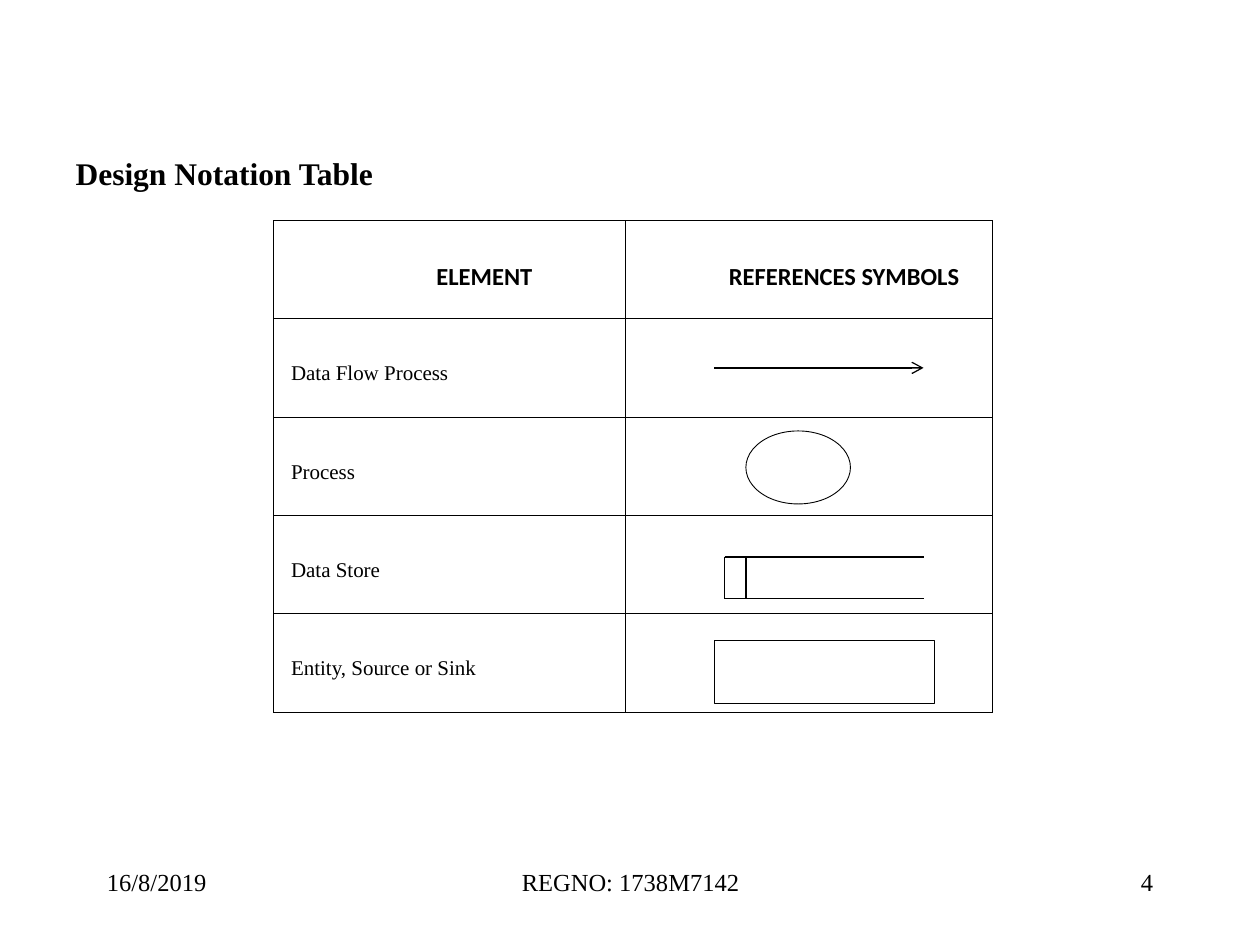
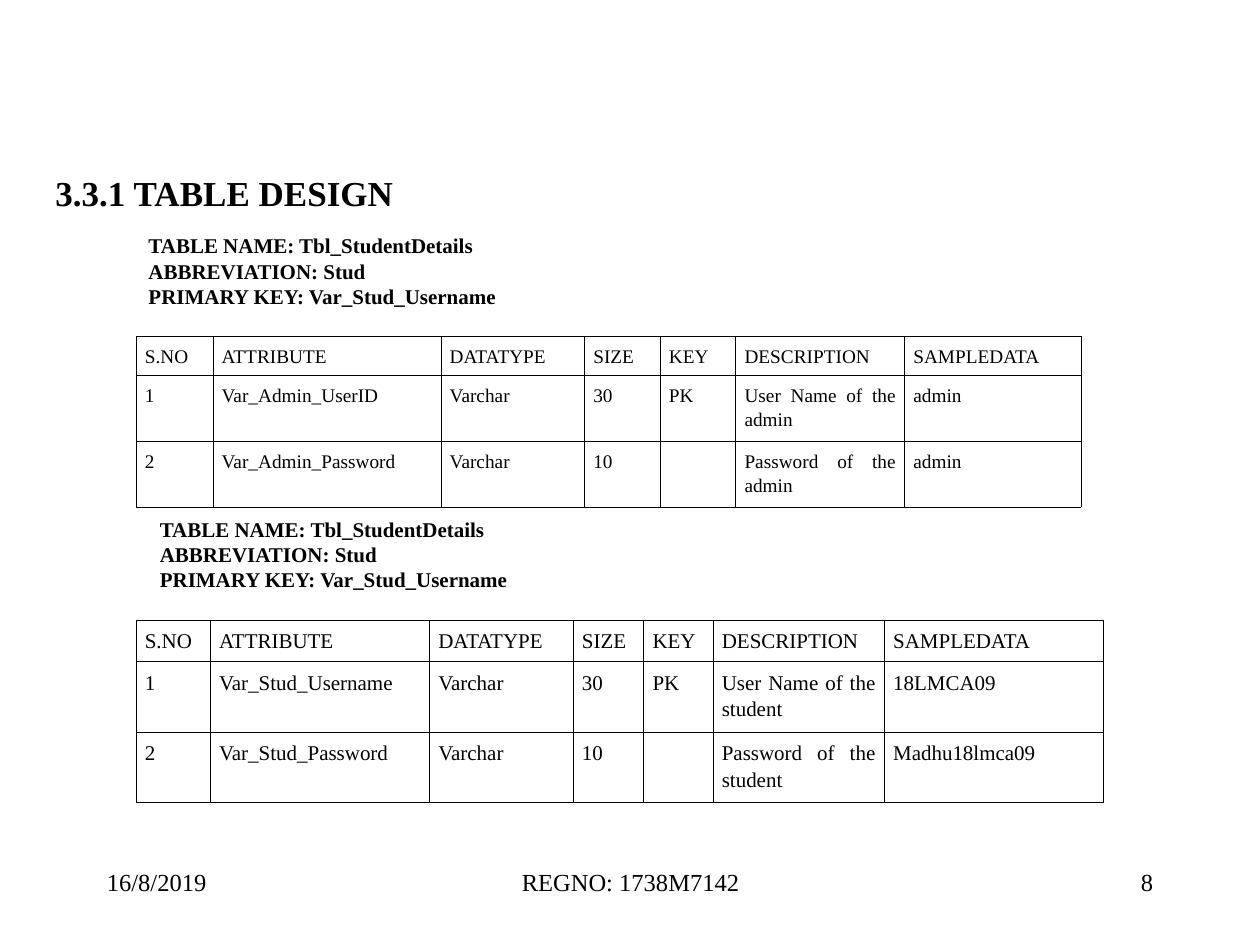
from dataclasses import dataclass
from itertools import product
from lxml.etree import SubElement
from pptx import Presentation
from pptx.dml.color import RGBColor
from pptx.enum.shapes import MSO_CONNECTOR, MSO_SHAPE
from pptx.enum.text import MSO_ANCHOR, MSO_AUTO_SIZE, PP_ALIGN
from pptx.oxml import parse_xml
from pptx.oxml.ns import nsdecls, qn
from pptx.util import Inches, Pt


@dataclass(frozen=True)
class Theme:
    ink: str = "000000"
    serif: str = "Times New Roman"
    sans: str = "Calibri"
    foot: int = 14
    head: int = 14
    body: int = 12
    small: int = 11
    rule: float = 0.45
    thin: float = 0.5
    line: float = 0.75


THEME = Theme()
INK = RGBColor.from_string(THEME.ink)

NOTES = ["TABLE NAME: Tbl_StudentDetails", "ABBREVIATION: Stud",
         "PRIMARY KEY: Var_Stud_Username"]
HEADS = ["S.NO", "ATTRIBUTE", "DATATYPE", "SIZE", "KEY", "DESCRIPTION",
         "SAMPLEDATA"]
PARTS = ["Data Flow Process", "Process", "Data Store",
         "Entity, Source or Sink"]


def apply(item, **values):
    for name, value in values.items():
        setattr(item, name, value)


# Text
def write(frame, lines, size, font=THEME.serif, bold=False, **layout):
    for i, line in enumerate(lines):
        para = frame.paragraphs[0] if i == 0 else frame.add_paragraph()
        apply(para, **layout)
        if line:
            run = para.add_run()
            run.text = line
            apply(run.font, size=Pt(size), name=font, bold=bold)
            run.font.color.rgb = INK


def add_text(slide, box, lines, size, **look):
    frame = slide.shapes.add_textbox(*map(Inches, box)).text_frame
    frame.word_wrap = True
    write(frame, lines, size, **look)


def set_title(slide, text, box, size):
    title = slide.shapes.title
    left, top, width, height = map(Inches, box)
    apply(title, left=left, top=top, width=width, height=height)
    frame = title.text_frame
    apply(frame, word_wrap=False, auto_size=MSO_AUTO_SIZE.NONE,
          vertical_anchor=MSO_ANCHOR.MIDDLE)
    write(frame, [text], size, bold=True, alignment=PP_ALIGN.LEFT)


def add_foot(slide, number):
    for text, left, width, align in (
            ("16/8/2019", 0.75, 2.08, PP_ALIGN.LEFT),
            ("REGNO: 1738M7142", 3.42, 3.17, PP_ALIGN.CENTER),
            (str(number), 7.17, 2.08, PP_ALIGN.RIGHT)):
        add_text(slide, (left, 6.83, width, 0.5), [text], THEME.foot,
                 alignment=align)


def new_slide(deck, title, box, size, number):
    slide = deck.slides.add_slide(deck.slide_layouts[5])
    set_title(slide, title, box, size)
    add_foot(slide, number)
    return slide


# Tables
def add_rules(cell):
    props = cell._tc.get_or_add_tcPr()
    for side in ("lnL", "lnR", "lnT", "lnB"):
        props.append(parse_xml(
            f'<a:{side} {nsdecls("a")} w="{Pt(THEME.rule)}"><a:solidFill>'
            f'<a:srgbClr val="{THEME.ink}"/></a:solidFill></a:{side}>'))
    cell.fill.background()


def add_grid(slide, left, top, cols, rows, pad):
    shape = slide.shapes.add_table(
        len(rows), len(cols), Inches(left), Inches(top),
        Inches(sum(cols)), Inches(sum(rows)))
    table = shape.table
    apply(table, first_row=False, horz_banding=False)
    for col, width in zip(table.columns, cols):
        col.width = Inches(width)
    for row, height in zip(table.rows, rows):
        row.height = Inches(height)
    for cell in table.iter_cells():
        add_rules(cell)
        apply(cell, margin_left=Inches(pad), margin_right=Inches(pad))
    return table


def indent(cell, first):
    props = cell.text_frame.paragraphs[0]._p.get_or_add_pPr()
    props.set("marL", str(Inches(0.06)))
    props.set("indent", str(Inches(first)))


def add_key(slide):
    table = add_grid(slide, 2.17, 1.75, [2.79, 2.92], [0.78] * 5, 0.08)
    for cell in table.iter_cells():
        cell.vertical_anchor = MSO_ANCHOR.MIDDLE
    for col, text in enumerate(["ELEMENT", "REFERENCES SYMBOLS"]):
        cell = table.cell(0, col)
        indent(cell, 0.5)
        write(cell.text_frame, [text], THEME.head, THEME.sans, True,
              alignment=PP_ALIGN.CENTER, line_spacing=1.5)
    for row, text in enumerate(PARTS, 1):
        cell = table.cell(row, 0)
        indent(cell, 0)
        write(cell.text_frame, [text], THEME.body, line_spacing=1.5)


def add_fields(slide, top, cols, size, rows):
    table = add_grid(slide, 1.08, top, cols, [0.23, 0.47, 0.47], 0.07)
    data = [HEADS, *rows]
    for row, col in product(range(len(data)), range(len(cols))):
        write(table.cell(row, col).text_frame, [data[row][col]], size,
              alignment=PP_ALIGN.JUSTIFY, line_spacing=1.15)


# Symbols
def add_line(slide, start, end, arrow=False):
    line = slide.shapes.add_connector(
        MSO_CONNECTOR.STRAIGHT, *map(Inches, (*start, *end)))
    line.line.color.rgb = INK
    line.line.width = Pt(THEME.line)
    if arrow:
        SubElement(line.line._get_or_add_ln(), qn("a:tailEnd"), type="arrow")
    SubElement(line._element.spPr, qn("a:effectLst"))


def add_frame(slide, kind, box):
    shape = slide.shapes.add_shape(kind, *map(Inches, box))
    shape.shadow.inherit = False
    shape.fill.background()
    shape.line.color.rgb = INK
    shape.line.width = Pt(THEME.thin)


def add_store(slide, left, right, top, base):
    for y in (top, base):
        add_line(slide, (left, y), (right, y))
    for x in (left, left + 0.17):
        add_line(slide, (x, base), (x, top))


def main():
    deck = Presentation()
    apply(deck, slide_width=Inches(10), slide_height=Inches(7.5))

    # Notation symbols
    slide = new_slide(deck, "Design Notation Table",
                      (0.5, 1.17, 2.59, 0.4), 18, 4)
    add_key(slide)
    add_line(slide, (5.67, 2.92), (7.33, 2.92), arrow=True)
    add_frame(slide, MSO_SHAPE.OVAL, (5.92, 3.42, 0.83, 0.58))
    add_store(slide, 5.75, 7.33, 4.42, 4.75)
    add_frame(slide, MSO_SHAPE.RECTANGLE, (5.67, 5.08, 1.75, 0.5))

    # Database tables
    slide = new_slide(deck, "3.3.1 TABLE DESIGN",
                      (0.34, 1.3, 2.9, 0.46), 20, 8)
    add_fields(slide, 2.67, [0.61, 1.81, 1.14, 0.6, 0.6, 1.34, 1.4],
               THEME.small, [
        ["1", "Var_Admin_UserID", "Varchar", "30", "PK",
         "User Name of the admin", "admin"],
        ["2", "Var_Admin_Password", "Varchar", "10", "",
         "Password of the admin", "admin"]])
    add_fields(slide, 4.92, [0.59, 1.74, 1.14, 0.56, 0.55, 1.36, 1.74],
               THEME.body, [
        ["1", "Var_Stud_Username", "Varchar", "30", "PK",
         "User Name of the student", "18LMCA09"],
        ["2", "Var_Stud_Password", "Varchar", "10", "",
         "Password of the student", "Madhu18lmca09"]])
    for left, top in ((1.08, 1.8), (1.17, 4.05)):
        add_text(slide, (left, top, 3.42, 0.7), NOTES, THEME.body, bold=True)

    deck.save("out.pptx")


if __name__ == "__main__":
    main()
